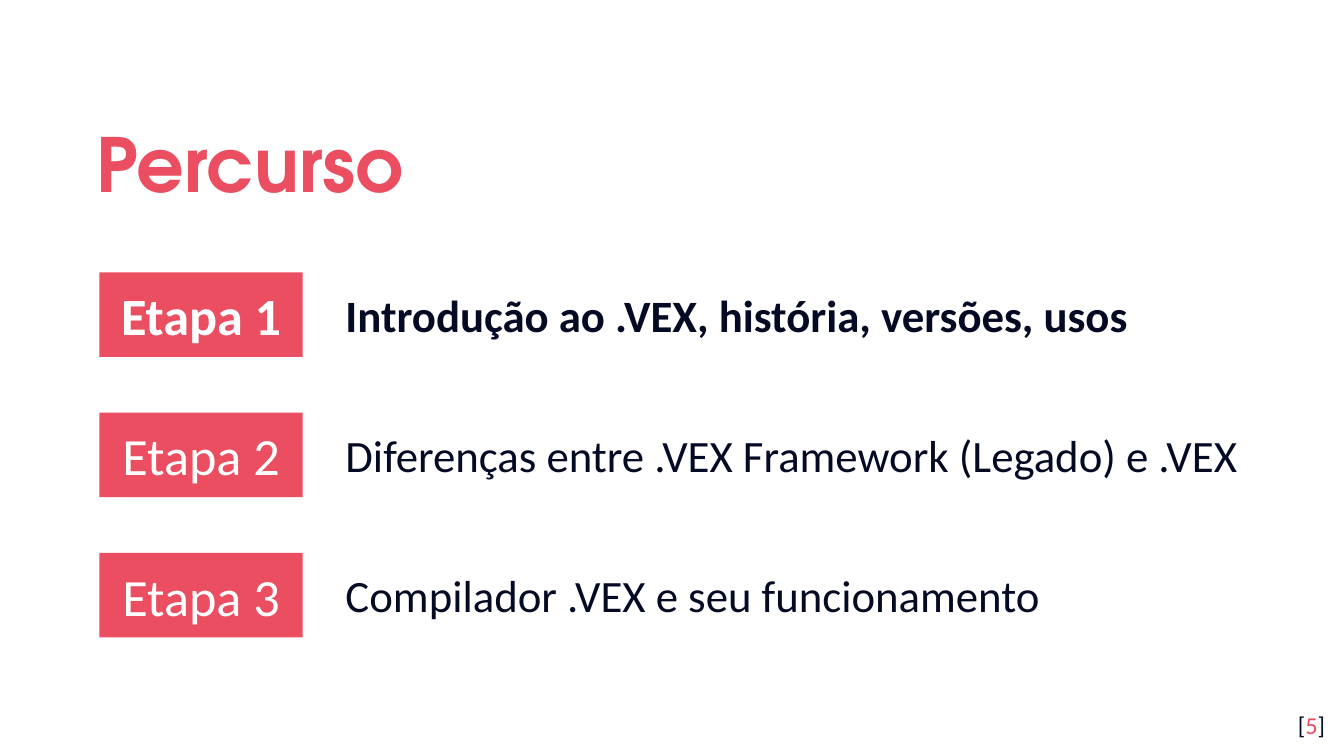
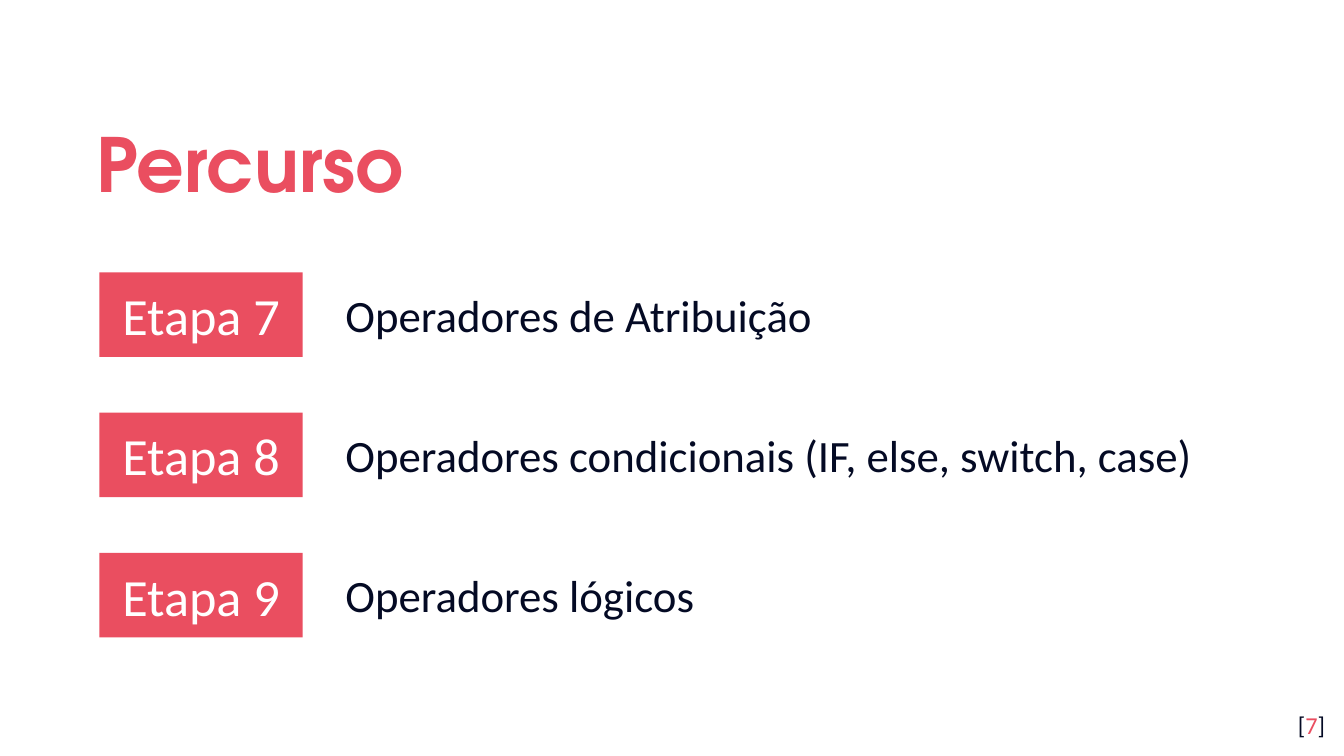
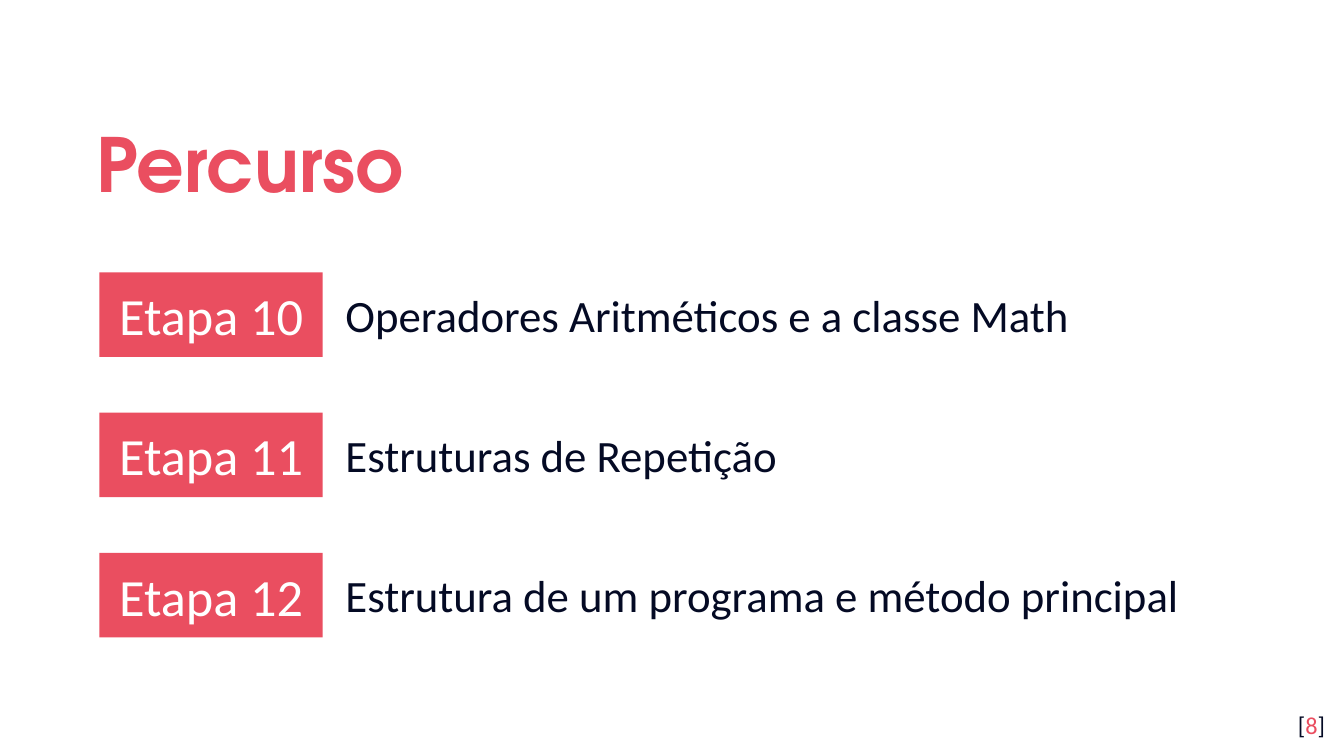
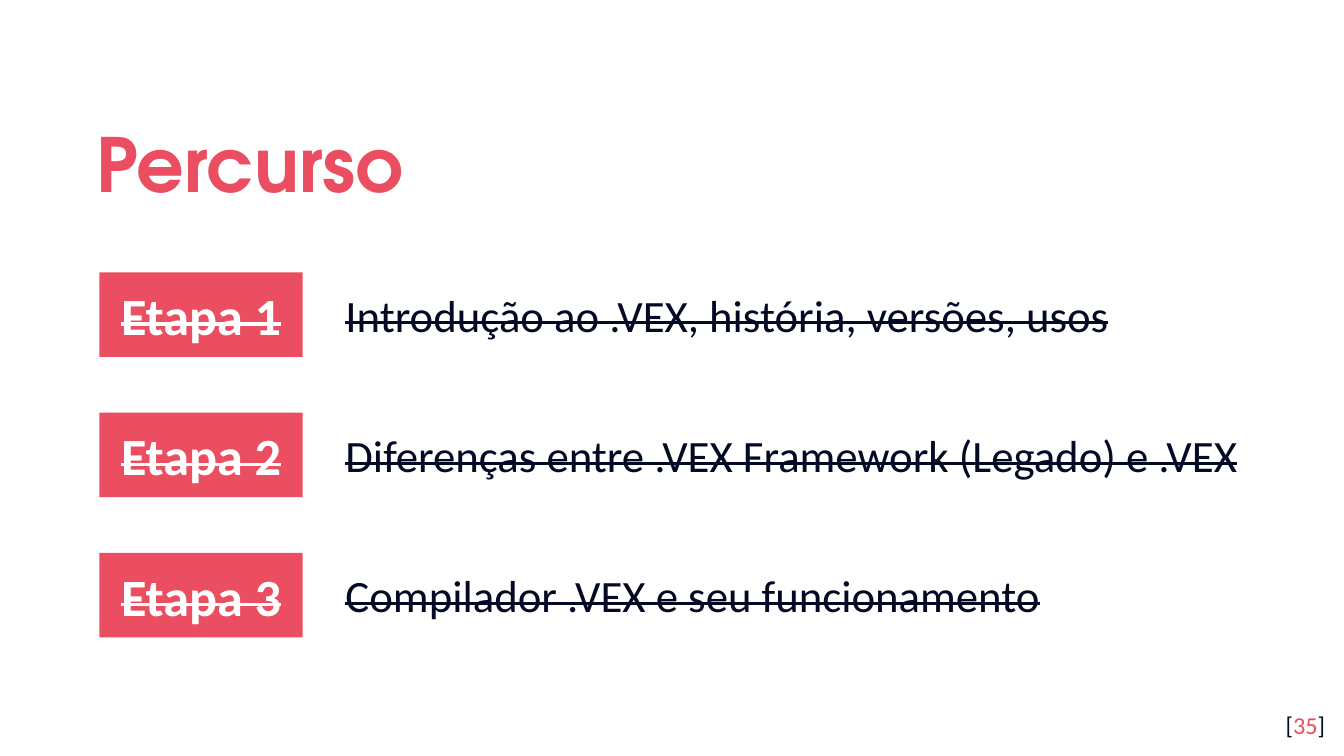
"""Build the four "Percurso" agenda slides."""
from dataclasses import dataclass

from pptx import Presentation
from pptx.dml.color import RGBColor
from pptx.enum.shapes import MSO_SHAPE
from pptx.enum.text import MSO_ANCHOR, PP_ALIGN
from pptx.util import Cm, Pt

RECTANGLE = MSO_SHAPE.RECTANGLE
TOP, MIDDLE = MSO_ANCHOR.TOP, MSO_ANCHOR.MIDDLE
LEFT, CENTER, RIGHT = PP_ALIGN.LEFT, PP_ALIGN.CENTER, PP_ALIGN.RIGHT

TITLE = "Percurso"
OPENING_TOPICS = [
    "Introdução ao .VEX, história, versões, usos",
    "Diferenças entre .VEX Framework (Legado) e .VEX",
    "Compilador .VEX e seu funcionamento",
]
AGENDAS = [
    {"number": 5, "first_stage": 1, "current": 1, "topics": OPENING_TOPICS},
    {"number": 7, "first_stage": 7, "topics": [
        "Operadores de Atribuição",
        "Operadores condicionais (IF, else, switch, case)",
        "Operadores lógicos",
    ]},
    {"number": 8, "first_stage": 10, "topics": [
        "Operadores Aritméticos e a classe Math",
        "Estruturas de Repetição",
        "Estrutura de um programa e método principal",
    ]},
    {"number": 35, "first_stage": 1, "done": True, "topics": OPENING_TOPICS},
]


@dataclass(frozen=True)
class Theme:
    accent: str = "EA4E60"
    ink: str = "040A24"
    paper: str = "FFFFFF"
    title_font: str = "TeX Gyre Adventor"
    body_font: str = "Calibri"
    title_size: int = 40
    stage_size: int = 28
    topic_size: int = 24
    number_size: int = 13


THEME = Theme()
ROW_TOP, ROW_PITCH = 5.15, 2.65
STAGE_LEFT, STAGE_HEIGHT = 1.88, 1.6
STAGE_WIDTH, WIDE_STAGE_WIDTH = 3.84, 4.22
TOPIC_LEFT, TOPIC_HEIGHT, TOPIC_DROP = 6.28, 1.27, 0.16
TOPIC_WIDTHS = [17.15, 18.03, 17.15]


def write(box, text, *, size, color=THEME.ink, font=THEME.body_font, bold=False,
          strike=False, align=LEFT, anchor=TOP, inset=0.25, level=0,
          margin=0, indent=0, line_spacing=None):
    """Write one paragraph; text is a string or a list of (string, colour) pairs."""
    frame = box.text_frame
    frame.word_wrap = True
    frame.vertical_anchor = anchor
    frame.margin_left = frame.margin_right = Cm(0.25)
    frame.margin_top = frame.margin_bottom = Cm(inset)
    para = frame.paragraphs[0]
    para.alignment = align
    para.level = level
    para.line_spacing = line_spacing
    properties = para._p.get_or_add_pPr()
    properties.set("marL", str(Cm(margin)))
    properties.set("indent", str(Cm(indent)))
    for part, part_color in [(text, color)] if isinstance(text, str) else text:
        span = para.add_run()
        span.text = part
        span.font.name = font
        span.font.size = Pt(size)
        span.font.bold = bold
        span.font.color.rgb = RGBColor.from_string(part_color)
        if strike:
            span._r.get_or_add_rPr().set("strike", "sngStrike")


def add_text(page, text, left, top, width, height, **style):
    """Add a text box, with its place in centimetres."""
    box = page.shapes.add_textbox(Cm(left), Cm(top), Cm(width), Cm(height))
    write(box, text, **style)


def add_stage(page, stage, top, **style):
    """Add the filled label of a stage, wider for two digits."""
    width = STAGE_WIDTH if stage < 10 else WIDE_STAGE_WIDTH
    box = page.shapes.add_shape(
        RECTANGLE, Cm(STAGE_LEFT), Cm(top), Cm(width), Cm(STAGE_HEIGHT))
    box.shadow.inherit = False
    box.fill.solid()
    box.fill.fore_color.rgb = RGBColor.from_string(THEME.accent)
    box.line.fill.background()
    write(box, f"Etapa {stage}", size=THEME.stage_size, color=THEME.paper,
          align=CENTER, anchor=MIDDLE, level=1, **style)


def add_agenda(deck, number, first_stage, topics, current=None, done=False):
    """Add one agenda slide with its title, stages and page number."""
    page = deck.slides.add_slide(deck.slide_layouts[6])
    page.background.fill.solid()
    page.background.fill.fore_color.rgb = RGBColor.from_string(THEME.paper)
    add_text(page, TITLE, 1.57, 1.78, 20.57, 2.34, size=THEME.title_size,
             color=THEME.accent, font=THEME.title_font, bold=True,
             anchor=MIDDLE, line_spacing=1.15)
    for row, (topic, width) in enumerate(zip(topics, TOPIC_WIDTHS)):
        stage = first_stage + row
        top = ROW_TOP + row * ROW_PITCH
        active = stage == current
        add_stage(page, stage, top, bold=active or done, strike=done)
        add_text(page, topic, TOPIC_LEFT, top + TOPIC_DROP, width, TOPIC_HEIGHT,
                 size=THEME.topic_size, bold=active, strike=done,
                 inset=0.13, margin=1.27, indent=-1.27)
    add_text(page, [("[", THEME.ink), (str(number), THEME.accent), ("]", THEME.ink)],
             23.77, 13.18, 1.52, 1.09, size=THEME.number_size, align=RIGHT)


def main():
    """Build and save the deck."""
    deck = Presentation()
    deck.slide_width, deck.slide_height = Cm(25.4), Cm(14.29)
    for agenda in AGENDAS:
        add_agenda(deck, **agenda)
    deck.save("out.pptx")


if __name__ == "__main__":
    main()
